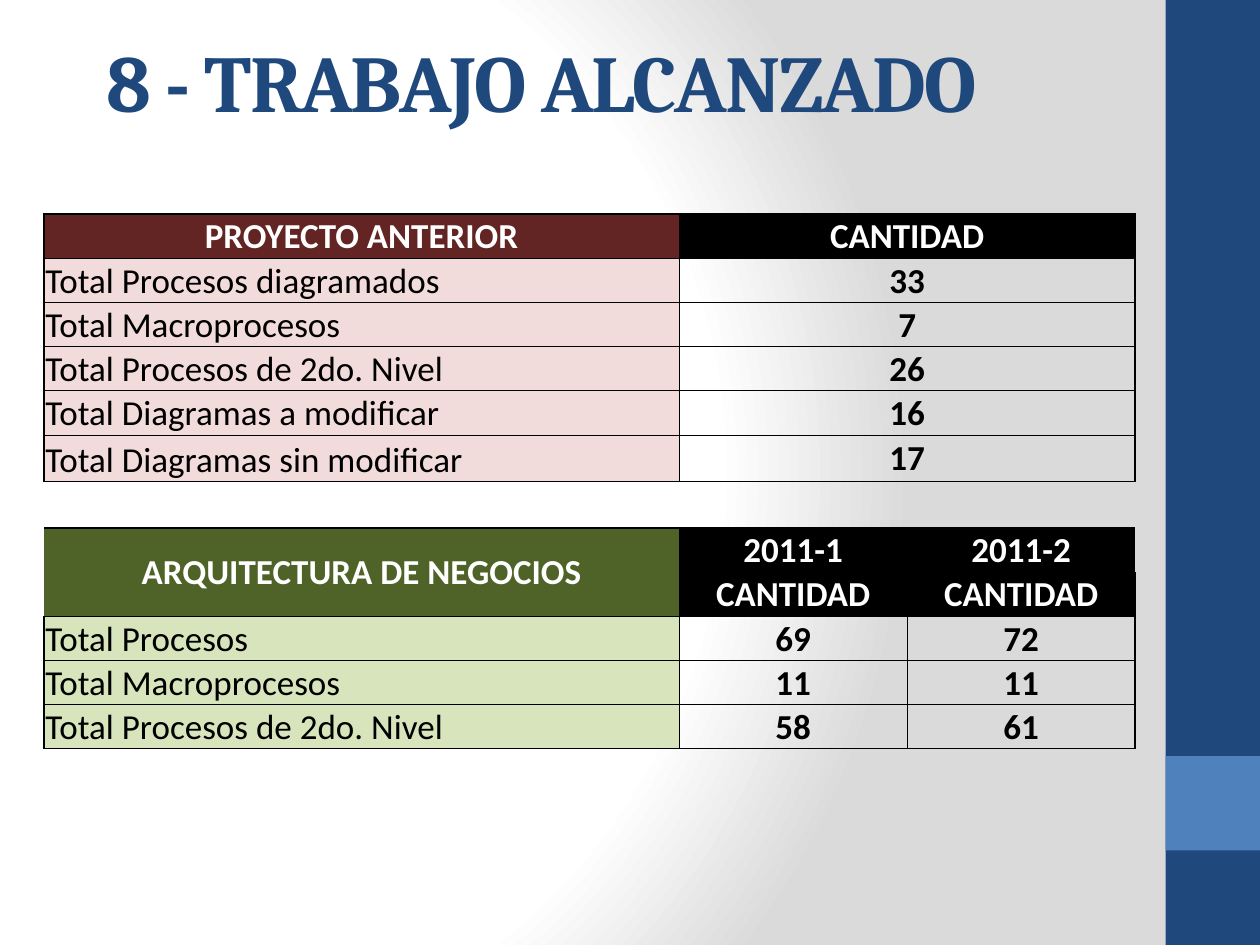
from lxml import etree
from pptx import Presentation
from pptx.dml.color import RGBColor
from pptx.enum.shapes import MSO_SHAPE
from pptx.enum.text import MSO_ANCHOR, PP_ALIGN
from pptx.oxml.ns import qn
from pptx.util import Inches, Pt

RECT = MSO_SHAPE.RECTANGLE
MIDDLE, BOTTOM = MSO_ANCHOR.MIDDLE, MSO_ANCHOR.BOTTOM
LEFT, CENTER = PP_ALIGN.LEFT, PP_ALIGN.CENTER
NO_STYLE = "{2D5ABB26-0587-4C30-8999-92F81FD0307C}"
NAVY, BLUE, WHITE, BLACK = "1F497D", "4F81BD", "FFFFFF", "000000"
MAROON, PINK, OLIVE, LIME = "632523", "F2DCDB", "4F6228", "D8E4BC"
THIN, THICK = 0.5, 1
COLS = [5.04, 1.81, 1.81]
ROW_H, GAP_H = 0.35, 0.37

PREVIOUS = [
    ("PROYECTO ANTERIOR", "CANTIDAD"),
    ("Total Procesos diagramados", "33"),
    ("Total Macroprocesos", "7"),
    ("Total Procesos de 2do. Nivel", "26"),
    ("Total Diagramas a modificar", "16"),
    ("Total Diagramas sin modificar", "17"),
]
ARCHITECTURE = [
    ("ARQUITECTURA DE NEGOCIOS", "2011-1", "2011-2"),
    ("", "CANTIDAD", "CANTIDAD"),
    ("Total Procesos", "69", "72"),
    ("Total Macroprocesos", "11", "11"),
    ("Total Procesos de 2do. Nivel", "58", "61"),
]


def rgb(value):
    """Turn a hex string into a colour."""
    return RGBColor.from_string(value)


def add_run(p, text, size, font, color, bold):
    """Add one formatted run to a paragraph."""
    r = p.add_run()
    r.text = text
    r.font.size, r.font.name, r.font.bold = Pt(size), font, bold
    r.font.color.rgb = rgb(color)
    return r


def set_background(slide):
    """Give the slide a circular white to grey gradient."""
    slide.background.fill.gradient()
    grad = slide.element.find(".//" + qn("a:gradFill"))
    grad.clear()
    stops = etree.SubElement(grad, qn("a:gsLst"))
    for pos, color in ((0, WHITE), (75, WHITE), (100, "DADADA")):
        gs = etree.SubElement(stops, qn("a:gs"), pos=str(pos * 1000))
        etree.SubElement(gs, qn("a:srgbClr"), val=color)
    path = etree.SubElement(grad, qn("a:path"), path="circle")
    etree.SubElement(path, qn("a:fillToRect"), l="20000", t="50000",
                     r="100000", b="50000")


def add_block(slide, x, y, w, h, color):
    """Add a plain filled rectangle."""
    sp = slide.shapes.add_shape(RECT, Inches(x), Inches(y), Inches(w), Inches(h))
    sp.shadow.inherit = False
    sp.fill.solid()
    sp.fill.fore_color.rgb = rgb(color)
    sp.line.fill.background()


def add_sidebar(slide, x, y, w, h):
    """Add the side band with its square accent."""
    add_block(slide, x, y, w, h, NAVY)
    add_block(slide, x, y + h - 2 * w, w, w, BLUE)


def add_title(slide, x, y, w, h):
    """Add the slide title."""
    tf = slide.shapes.add_textbox(Inches(x), Inches(y), Inches(w), Inches(h)).text_frame
    tf.word_wrap = True
    tf.vertical_anchor = MIDDLE
    r = add_run(tf.paragraphs[0], "8 - TRABAJO ALCANZADO", 46, "Cambria", NAVY, True)
    r.font._element.set("spc", "-100")


def set_borders(cell, **widths):
    """Draw black borders on the named sides, widths in points."""
    tc_pr = cell._tc.get_or_add_tcPr()
    for side in "LRTB":
        if side in widths:
            ln = etree.SubElement(tc_pr, qn("a:ln" + side), w=str(Pt(widths[side])))
            fill = etree.SubElement(ln, qn("a:solidFill"))
            etree.SubElement(fill, qn("a:srgbClr"), val=BLACK)


def fill_cell(cell, text, fill, header, label):
    """Set the text, alignment and fill of one cell."""
    cell.margin_left = cell.margin_right = cell.margin_top = Inches(0.01)
    cell.margin_bottom = 0
    plain = label and not header
    cell.vertical_anchor = BOTTOM if plain else MIDDLE
    if fill:
        cell.fill.solid()
        cell.fill.fore_color.rgb = rgb(fill)
    else:
        cell.fill.background()
    if text:
        p = cell.text_frame.paragraphs[0]
        p.alignment = LEFT if plain else CENTER
        add_run(p, text, 20, "Calibri", WHITE if header else BLACK, not plain)


def fill_section(table, first, rows, headers, dark, light, bottom):
    """Fill one section of the table, starting at the given row."""
    for i, row in enumerate(rows):
        header = i < headers
        wide = len(row) == 2
        for c in range(len(COLS)):
            cell = table.cell(first + i, c)
            widths = {
                "L": THIN if c else THICK,
                "R": THICK if c == 2 or (wide and c) else THIN,
                "T": THICK if i < headers else THIN,
                "B": bottom if i == len(rows) - 1 else THIN,
            }
            if headers > 1 and header and (c == 0 or i == 0):
                del widths["L"], widths["R"]
                widths["B"] = THICK if c else THIN
            set_borders(cell, **widths)
            head, body = (BLACK, None) if c else (dark, light)
            text = row[c] if c < len(row) else ""
            fill_cell(cell, text, head if header else body, header, c == 0)
        if wide:
            table.cell(first + i, 1).merge(table.cell(first + i, 2))
    if headers > 1:
        table.cell(first, 0).merge(table.cell(first + headers - 1, 0))


def add_totals_table(slide, x, y):
    """Add the table of totals, two sections parted by an empty row."""
    gap = len(PREVIOUS)
    heights = [ROW_H] * (gap + 1 + len(ARCHITECTURE))
    heights[gap - 1] = heights[gap] = GAP_H
    frame = slide.shapes.add_table(len(heights), len(COLS), Inches(x), Inches(y),
                                   Inches(sum(COLS)), Inches(sum(heights)))
    table = frame.table
    table.first_row = table.horz_banding = False
    table._tbl.tblPr.find(qn("a:tableStyleId")).text = NO_STYLE
    for col, width in zip(table.columns, COLS):
        col.width = Inches(width)
    for row, height in zip(table.rows, heights):
        row.height = Inches(height)
    fill_section(table, 0, PREVIOUS, 1, MAROON, PINK, THICK)
    for cell in table.rows[gap].cells:
        set_borders(cell, T=THICK, B=THICK)
        fill_cell(cell, "", None, False, False)
    fill_section(table, gap + 1, ARCHITECTURE, 2, OLIVE, LIME, THIN)


def main():
    """Build and save the slide."""
    prs = Presentation()
    prs.slide_width, prs.slide_height = Inches(10), Inches(7.5)
    slide = prs.slides.add_slide(prs.slide_layouts[6])
    set_background(slide)
    add_sidebar(slide, 9.25, 0, 0.75, 7.5)
    add_totals_table(slide, 0.35, 1.7)
    add_title(slide, 0.75, 0.13, 8.27, 1.01)
    prs.save("out.pptx")


if __name__ == "__main__":
    main()
